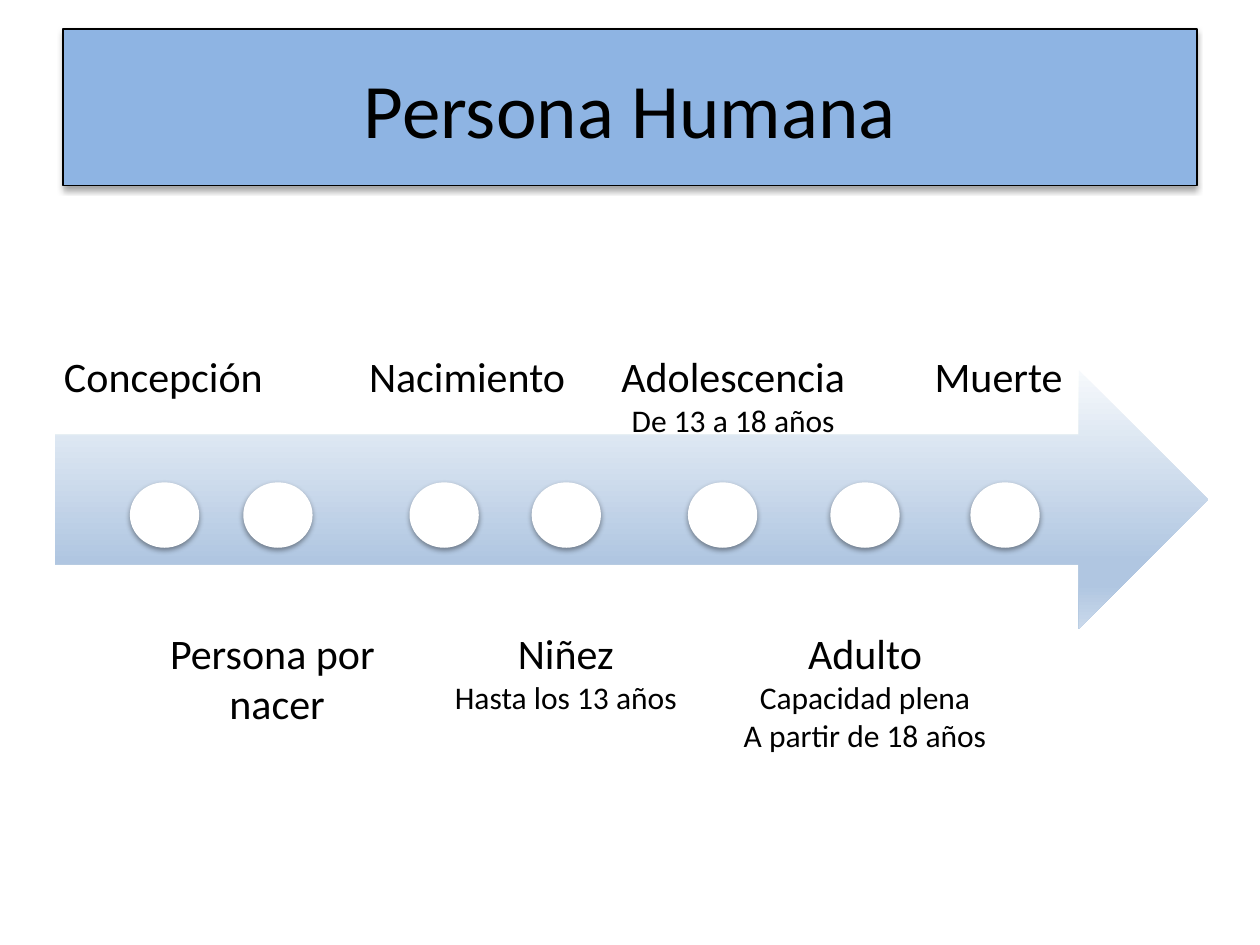
from pptx import Presentation
from pptx.dml.color import RGBColor
from pptx.enum.shapes import MSO_SHAPE as SHAPE
from pptx.enum.text import MSO_ANCHOR as ANCHOR, MSO_AUTO_SIZE as FIT, PP_ALIGN as ALIGN
from pptx.oxml import parse_xml
from pptx.oxml.ns import nsdecls
from pptx.util import Pt

INK = {"text": "000000", "title": "8EB4E3", "dot": "FFFFFF"}
FADE = {0: "F6F9FC", 74: "B0C6E1", 83: "B0C6E1", 100: "CAD9EB"}

deck = Presentation()
deck.slide_width, deck.slide_height = Pt(720), Pt(540)
slide = deck.slides.add_slide(deck.slide_layouts[6])


def add_form(kind, box, fill, shade=0, dist=0):
    form = slide.shapes.add_shape(kind, *map(Pt, box))
    form.shadow.inherit = False
    form.fill.solid()
    form.fill.fore_color.rgb = RGBColor.from_string(fill)
    form.line.fill.background()
    if shade:
        glow = form._element.spPr.find("{*}effectLst")
        glow.append(parse_xml(
            f'<a:outerShdw {nsdecls("a")} blurRad="{Pt(3.1)}" dist="{Pt(dist)}" '
            f'dir="5400000" rotWithShape="0"><a:srgbClr val="{INK["text"]}">'
            f'<a:alpha val="{shade * 1000}"/></a:srgbClr></a:outerShdw>'))
    return form


def write(frame, lines, sizes, align):
    for i, line in enumerate(lines):
        para = frame.paragraphs[0] if i == 0 else frame.add_paragraph()
        para.alignment = align
        run = para.add_run()
        run.text = line
        look = {"name": "Calibri", "size": Pt(sizes[min(i, 1)])}
        for key, value in look.items():
            setattr(run.font, key, value)
        run.font.color.rgb = RGBColor.from_string(INK["text"])


# Title
title = add_form(SHAPE.RECTANGLE, (36, 16.6, 648, 89.6), INK["title"], 35, 1.8)
title.line.color.rgb = RGBColor.from_string(INK["text"])
title.line.width = Pt(0.75)
title.text_frame.vertical_anchor = ANCHOR.MIDDLE
write(title.text_frame, ["Persona Humana"], (44,), ALIGN.CENTER)

# Time arrow with a downward fade
arrow = add_form(SHAPE.RIGHT_ARROW, (31.5, 211.6, 659, 147.8), INK["dot"])
stops = "".join(f'<a:gs pos="{at * 1000}"><a:srgbClr val="{hue}"/></a:gs>'
                for at, hue in FADE.items())
plain = arrow._element.spPr.find("{*}solidFill")
plain.getparent().replace(plain, parse_xml(
    f'<a:gradFill {nsdecls("a")} rotWithShape="1"><a:gsLst>{stops}</a:gsLst>'
    '<a:lin ang="5400000" scaled="0"/></a:gradFill>'))

# Stages of life: dot centre, label left, width, height, lines, size below
ABOVE, BELOW = 196.6, 355
stages = [
    (94, 29.5, 129.6, 36, ["Concepción"], 24),
    (158.8, 89.2, 138.4, 65.5, ["Persona por ", "nacer"], 24),
    (253.8, 203.8, 127.4, 36, ["Nacimiento"], 24),
    (323.6, 252, 142.6, 58.3, ["Niñez", "Hasta los 13 años"], 18),
    (412.9, 347, 144, 58.3, ["Adolescencia", "De 13 a 18 años"], 18),
    (494.3, 416.9, 154.8, 80, ["Adulto", "Capacidad plena", "A partir de 18 años"], 18),
    (574.3, 527, 88.6, 36, ["Muerte"], 24),
]
for i, (mid, left, wide, high, lines, small) in enumerate(stages):
    add_form(SHAPE.OVAL, (mid - 19.8, 275.6, 39.6, 37.4), INK["dot"], 38, 1.6)
    top = BELOW if i % 2 else ABOVE
    label = slide.shapes.add_textbox(*map(Pt, (left, top, wide, high)))
    frame = label.text_frame
    for key, value in {"word_wrap": False, "auto_size": FIT.SHAPE_TO_FIT_TEXT}.items():
        setattr(frame, key, value)
    write(frame, lines, (24, small), ALIGN.CENTER if len(lines) > 1 else ALIGN.LEFT)

deck.save("out.pptx")
